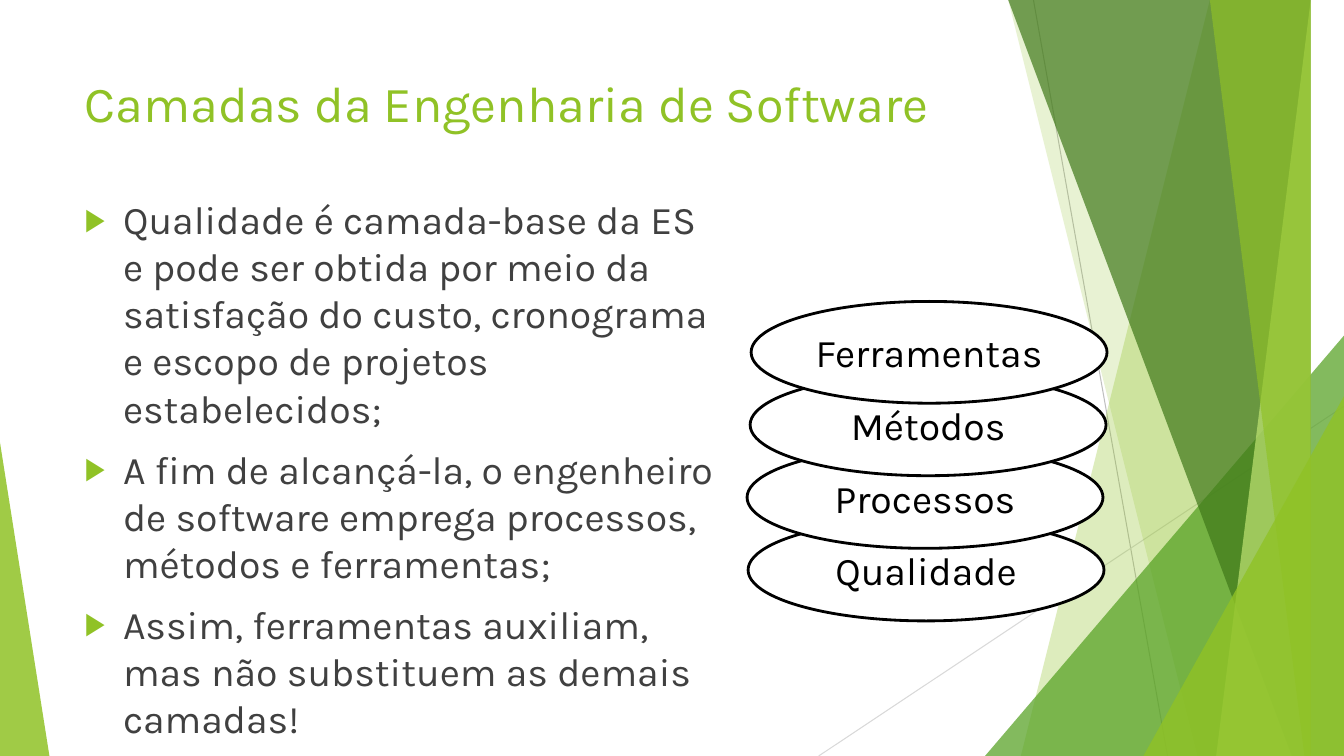
"""Build a slide on the layers of software engineering."""
from lxml import etree
from pptx import Presentation, util as u
from pptx.dml.color import RGBColor
from pptx.enum import shapes, text
from pptx.oxml.ns import qn

WIDTH, HEIGHT = 13.33, 7.5
FONT, GREEN, BLACK = "Karla", "90C226", "000000"

TITLE = "Camadas da Engenharia de Software"
BULLETS = [
    "Qualidade é camada-base da ES e pode ser obtida por meio da satisfação do custo, "
    "cronograma e escopo de projetos estabelecidos;",
    "A fim de alcançá-la, o engenheiro de software emprega processos, métodos e ferramentas;",
    "Assim, ferramentas auxiliam, mas não substituem as demais camadas!",
]
LAYERS = [("Qualidade", 7.42), ("Processos", 7.41), ("Métodos", 7.44), ("Ferramentas", 7.45)]
LAYER_WIDTH, LAYER_HEIGHT, LAYER_STEP, LOWEST_TOP = 3.53, 1.01, 0.72, 5.15

RAYS = [((10.25, 0), (11.58, HEIGHT), "BFBFBF"), ((WIDTH, 4.03), (8.12, HEIGHT), "D9D9D9")]
# fmt: off
FACETS = [
    ("band", (12.28, 10.04), GREEN, 30),
    ("band", (10.5, 11.82), GREEN, 20),
    ("triangle", (9.77, 3.33, 3.56, 1), "54A021", 72),
    ("band", (10.21, 12.91), "3F7819", 70),
    ("band", (13.03, 11.92), "C0E474", 70),
    ("band", (11.96, 13.18), GREEN, 65),
    ("triangle", (11.34, 3.93, 1.99, 1), GREEN, 80),
    ("triangle", (0, 4.39, 0.49, 0), GREEN, 85),
]
# fmt: on


def color(value):
    return RGBColor.from_string(value)


def inches(*values):
    return [u.Inches(value) for value in values]


def style_font(font, size, value):
    font.name, font.size, font.color.rgb = FONT, u.Pt(size), color(value)


def add_ray(slide, start, end, value):
    ray = slide.shapes.add_connector(shapes.MSO_CONNECTOR.STRAIGHT, *inches(*start, *end))
    ray.line.color.rgb, ray.line.width = color(value), u.Pt(0.75)
    etree.SubElement(ray._element.spPr, qn("a:effectLst"))


def add_facet(slide, kind, geometry, value, opacity):
    if kind == "band":
        top_x, bottom_x = geometry
        builder = slide.shapes.build_freeform(top_x, -0.01, scale=u.Inches(1))
        builder.add_line_segments([(WIDTH, -0.01), (WIDTH, HEIGHT), (bottom_x, HEIGHT)])
        facet = builder.convert_to_shape()
    else:
        left, top, width, apex = geometry
        facet = slide.shapes.add_shape(
            shapes.MSO_SHAPE.ISOSCELES_TRIANGLE, *inches(left, top, width, HEIGHT - top))
        facet.adjustments[0] = apex
    facet.shadow.inherit = False
    facet.line.fill.background()
    facet.fill.solid()
    facet.fill.fore_color.rgb = color(value)
    shade = facet._element.spPr.find(qn("a:solidFill"))[0]
    etree.SubElement(shade, qn("a:alpha"), val=str(opacity * 1000))


def place(slide, placeholder, left, top, width, height):
    placeholder.left, placeholder.top, placeholder.width, placeholder.height = inches(
        left, top, width, height)
    frame = placeholder.text_frame
    frame.word_wrap, frame.auto_size = True, text.MSO_AUTO_SIZE.NONE
    frame.vertical_anchor = text.MSO_ANCHOR.TOP
    slide.shapes._spTree.append(placeholder._element)
    return frame


def add_bullet(paragraph):
    properties = paragraph._p.get_or_add_pPr()
    indent = u.Inches(0.38)
    properties.set("marL", str(indent))
    properties.set("indent", str(-indent))
    bullet_color = etree.SubElement(properties, qn("a:buClr"))
    etree.SubElement(bullet_color, qn("a:srgbClr"), val=GREEN)
    etree.SubElement(properties, qn("a:buSzPct"), val="80000")
    etree.SubElement(properties, qn("a:buChar"), char="▶")


def add_layer(slide, name, left, top):
    layer = slide.shapes.add_shape(
        shapes.MSO_SHAPE.OVAL, *inches(left, top, LAYER_WIDTH, LAYER_HEIGHT))
    layer.shadow.inherit = False
    layer.fill.solid()
    layer.fill.fore_color.rgb = color("FFFFFF")
    layer.line.color.rgb, layer.line.width = color(BLACK), u.Pt(2)
    layer.text_frame.vertical_anchor = text.MSO_ANCHOR.MIDDLE
    paragraph = layer.text_frame.paragraphs[0]
    paragraph.text, paragraph.alignment = name, text.PP_ALIGN.CENTER
    style_font(paragraph.font, 28, BLACK)


def main():
    presentation = Presentation()
    presentation.slide_width, presentation.slide_height = inches(WIDTH, HEIGHT)
    slide = presentation.slides.add_slide(presentation.slide_layouts[1])

    for ray in RAYS:
        add_ray(slide, *ray)
    for facet in FACETS:
        add_facet(slide, *facet)

    heading = place(slide, slide.shapes.title, 0.74, 0.67, 9.4, 1.44).paragraphs[0]
    heading.text, heading.alignment = TITLE, text.PP_ALIGN.LEFT
    style_font(heading.font, 36, GREEN)

    body = place(slide, slide.placeholders[1], 0.74, 1.89, 6.51, 4.24)
    body.text = "\n".join(BULLETS)
    for paragraph in body.paragraphs:
        paragraph.space_before = u.Pt(10)
        style_font(paragraph.font, 28, "404040")
        add_bullet(paragraph)

    for row, (name, left) in enumerate(LAYERS):
        add_layer(slide, name, left, LOWEST_TOP - row * LAYER_STEP)

    presentation.save("out.pptx")


if __name__ == "__main__":
    main()
